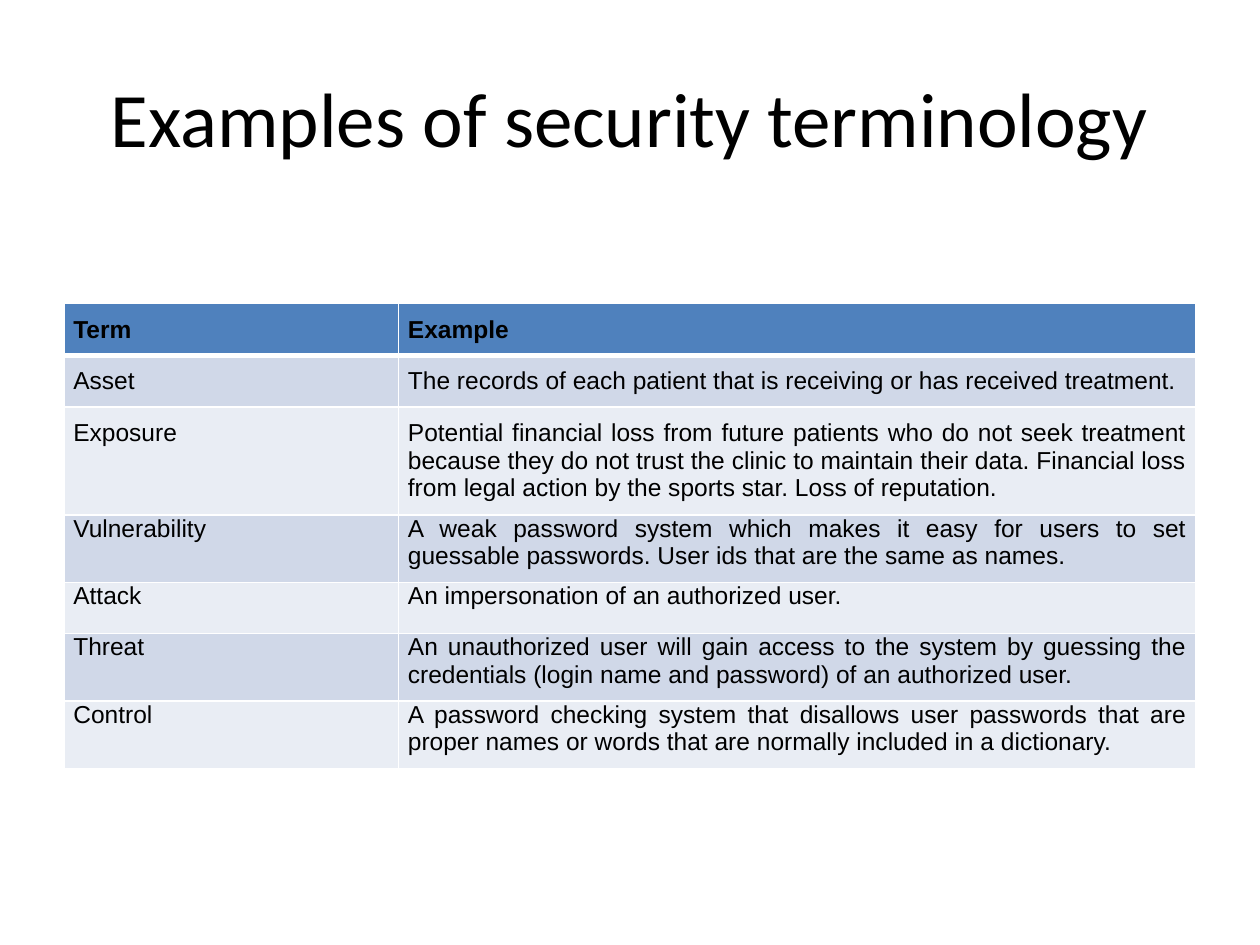
from dataclasses import dataclass

from lxml import etree
from pptx import Presentation
from pptx.dml.color import RGBColor
from pptx.enum import text
from pptx.oxml import ns
from pptx.util import Pt

BLACK, WHITE = "000000", "FFFFFF"
HEADER_FILL = "4F81BD"
BAND_FILLS = ("E9EDF4", "D0D8E8")
SIDE_INSET = 5.4
INSET = 7


@dataclass
class TermRow:
    term: str
    example: str
    height: float
    top: float = 0
    bottom: float = INSET


ROWS = [
    TermRow("Term", "Example", 29.5, INSET, 0),
    TermRow("Asset", "The records of each patient that is receiving or has received treatment.", 29.5, INSET),
    TermRow("Exposure", "Potential financial loss from future patients who do not seek treatment because they "
            "do not trust the clinic to maintain their data. Financial loss from legal action by the "
            "sports star. Loss of reputation.", 61.5, INSET),
    TermRow("Vulnerability", "A weak password system which makes it easy for users to set guessable passwords. "
            "User ids that are the same as names.", 38.7),
    TermRow("Attack", "An impersonation of an authorized user.", 29),
    TermRow("Threat", "An unauthorized user will gain access to the system by guessing the credentials "
            "(login name and password) of an authorized user.", 38.7),
    TermRow("Control", "A password checking system that disallows user passwords that are proper names "
            "or words that are normally included in a dictionary.", 38.7),
]


def color(value: str) -> RGBColor:
    return RGBColor.from_string(value)


def add_border(cell, side: str, width: float) -> None:
    properties = cell._tc.get_or_add_tcPr()
    line = etree.SubElement(properties, ns.qn(f"a:ln{side}"), w=str(Pt(width)))
    fill = etree.SubElement(line, ns.qn("a:solidFill"))
    etree.SubElement(fill, ns.qn("a:srgbClr"), val=WHITE)


def fill_cell(cell, words: str, row: TermRow, index: int) -> None:
    is_header = index == 0
    for side in "LRTB":
        thick = (is_header and side == "B") or (index == 1 and side == "T")
        add_border(cell, side, 3 if thick else 1)
    cell.fill.solid()
    cell.fill.fore_color.rgb = color(HEADER_FILL if is_header else BAND_FILLS[index % 2])
    cell.margin_left = cell.margin_right = Pt(SIDE_INSET)
    cell.margin_top, cell.margin_bottom = Pt(row.top), Pt(row.bottom)
    cell.text = words
    paragraph = cell.text_frame.paragraphs[0]
    paragraph.alignment = text.PP_ALIGN.JUSTIFY
    format_font(paragraph.font, "Arial", 14)
    paragraph.font.bold = is_header


def format_font(font, name: str, size: float) -> None:
    font.name, font.size = name, Pt(size)
    font.color.rgb = color(BLACK)


def add_title(slide, words: str) -> None:
    title = slide.shapes.title
    title.left, title.top, title.width, title.height = Pt(36), Pt(21.6), Pt(648), Pt(90)
    title.text_frame.text = words
    title.text_frame.vertical_anchor = text.MSO_ANCHOR.MIDDLE
    paragraph = title.text_frame.paragraphs[0]
    paragraph.alignment = text.PP_ALIGN.CENTER
    format_font(paragraph.font, "Calibri", 44)


def add_terms(slide, rows: list[TermRow]) -> None:
    height = sum(row.height for row in rows)
    shape = slide.shapes.add_table(len(rows), 2, Pt(36.5), Pt(173.5), Pt(647), Pt(height))
    table = shape.table
    for column, width in zip(table.columns, (191.2, 455.8)):
        column.width = Pt(width)
    for index, row in enumerate(rows):
        table.rows[index].height = Pt(row.height)
        for column, words in enumerate((row.term, row.example)):
            fill_cell(table.cell(index, column), words, row, index)


def main() -> None:
    presentation = Presentation()
    presentation.slide_width, presentation.slide_height = Pt(720), Pt(540)
    slide = presentation.slides.add_slide(presentation.slide_layouts[5])
    add_title(slide, "Examples of security terminology")
    add_terms(slide, ROWS)
    presentation.save("out.pptx")


if __name__ == "__main__":
    main()
